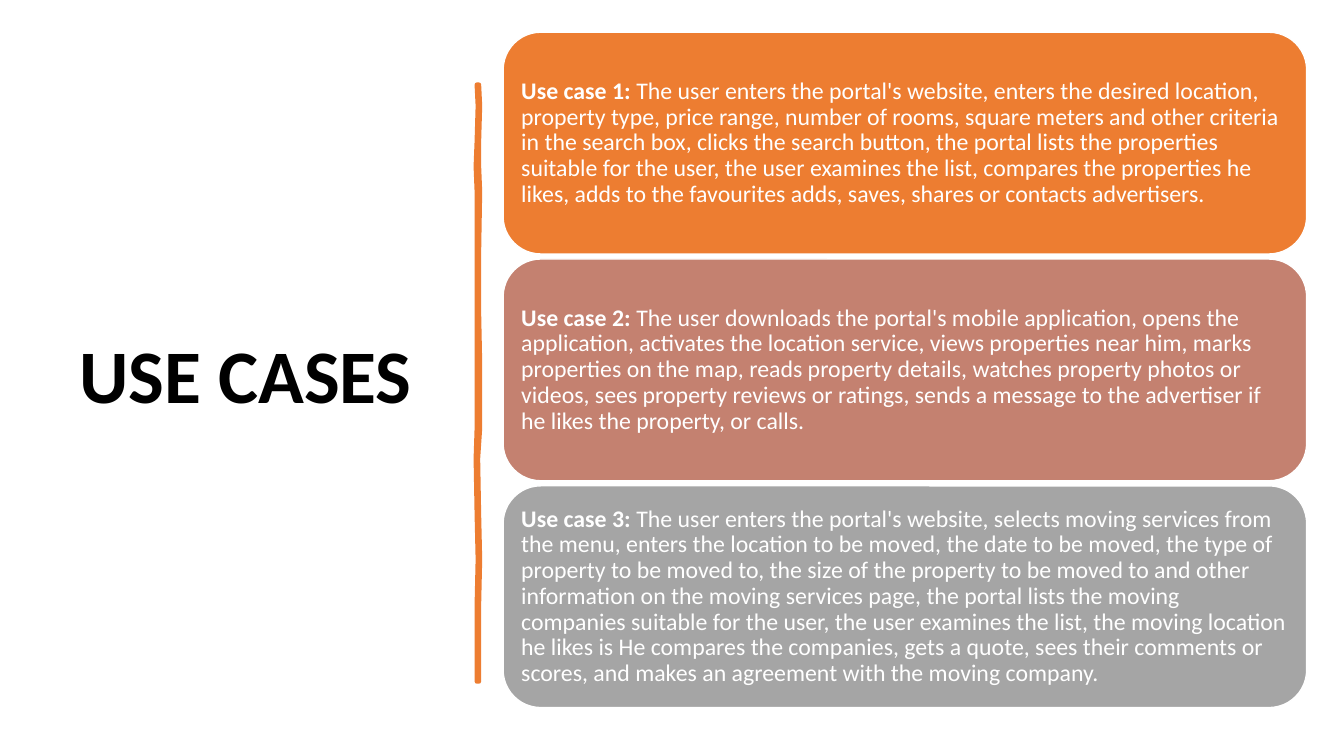
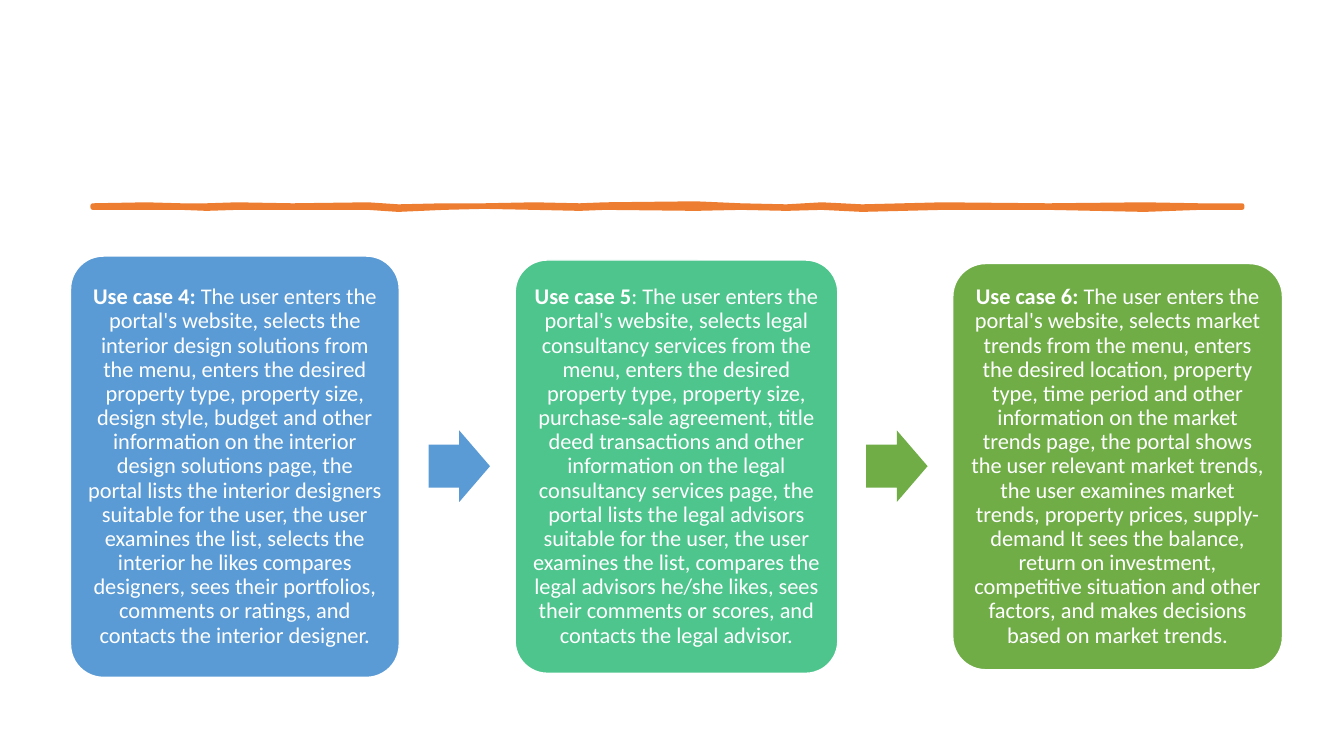
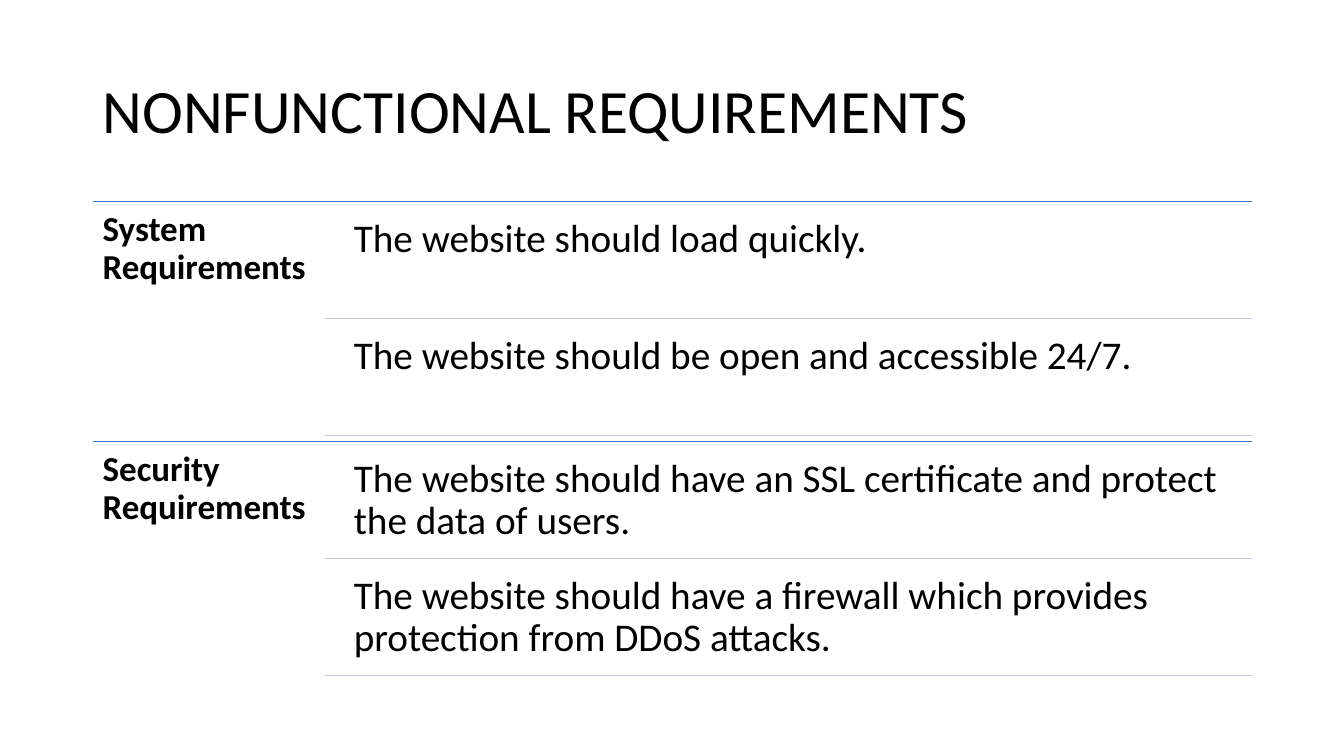
from lxml.etree import SubElement
from pptx import Presentation
from pptx.dml.color import RGBColor
from pptx.enum.shapes import MSO_CONNECTOR, MSO_SHAPE as Shape
from pptx.enum.text import MSO_ANCHOR as Anchor, PP_ALIGN as Align
from pptx.oxml.ns import qn
from pptx.util import Pt

PX = 9144  # 100 px to the inch

ORANGE, CLAY, GRAY = "ED7D31", "C48170", "A5A5A5"
BLUE, MINT, GREEN = "5B9BD5", "4DC58D", "70AD47"
SECTION_LINE, ITEM_LINE = "4472C4", "C1C9E4"
WHITE, BLACK = "FFFFFF", "000000"


def px(*lengths):
    return [round(length * PX) for length in lengths]


def rgb(color):
    return RGBColor.from_string(color)


class Deck:
    font = "Calibri"
    line_spacing = 0.9

    def __init__(self):
        self.show = Presentation()
        self.show.slide_width, self.show.slide_height = px(1333, 750)
        self.slide = None

    def new_slide(self):
        self.slide = self.show.slides.add_slide(self.show.slide_layouts[6])

    def set_text(self, frame, runs, size, color, inset, anchor, align=Align.LEFT):
        """Fill a text frame with one paragraph of (text, bold) runs."""
        frame.word_wrap = True
        frame.vertical_anchor = anchor
        frame.margin_left = frame.margin_right = inset * PX
        frame.margin_top = frame.margin_bottom = inset * PX
        paragraph = frame.paragraphs[0]
        paragraph.alignment = align
        paragraph.line_spacing = self.line_spacing
        paragraph.font.name = self.font
        paragraph.font.size = Pt(size)
        paragraph.font.color.rgb = rgb(color)
        for text, bold in runs:
            run = paragraph.add_run()
            run.text = text
            run.font.bold = bold

    def text(self, box, words, size, bold=False, inset=10, anchor=Anchor.TOP):
        frame = self.slide.shapes.add_textbox(*px(*box)).text_frame
        self.set_text(frame, [(words, bold)], size, BLACK, inset, anchor)

    def title(self, box, words, size, bold=False):
        self.text(box, words, size, bold, anchor=Anchor.MIDDLE)

    def shape(self, kind, box, fill, adjustments):
        shape = self.slide.shapes.add_shape(kind, *px(*box))
        shape.shadow.inherit = False
        shape.fill.solid()
        shape.fill.fore_color.rgb = rgb(fill)
        shape.line.fill.background()
        for index, value in enumerate(adjustments):
            shape.adjustments[index] = value
        return shape

    def card(self, box, fill, runs, size, rounding, align=Align.LEFT):
        card = self.shape(Shape.ROUNDED_RECTANGLE, box, fill, [rounding])
        card.line.color.rgb = rgb(WHITE)
        card.line.width = Pt(1)
        self.set_text(card.text_frame, runs, size, WHITE, 7, Anchor.MIDDLE, align)

    def arrow(self, box, fill):
        self.shape(Shape.RIGHT_ARROW, box, fill, [0.6, 0.5])

    def rule(self, left, right, y, color):
        rule = self.slide.shapes.add_connector(
            MSO_CONNECTOR.STRAIGHT, *px(left, y, right, y))
        rule.line.color.rgb = rgb(color)
        rule.line.width = Pt(1)
        SubElement(rule._element.spPr, qn("a:effectLst"))

    def brush_stroke(self, knots, vertical=False):
        """Draw an uneven stroke through (along, near edge, far edge) knots."""
        edge = [(along, near) for along, near, far in knots]
        edge += [(along, far) for along, near, far in reversed(knots)]
        points = [px(across, along) if vertical else px(along, across)
                  for along, across in edge]
        builder = self.slide.shapes.build_freeform(*points[0], scale=1.0)
        builder.add_line_segments(points[1:], close=True)
        stroke = builder.convert_to_shape()
        stroke.shadow.inherit = False
        stroke.fill.solid()
        stroke.fill.fore_color.rgb = rgb(ORANGE)
        stroke.line.color.rgb = rgb(ORANGE)
        stroke.line.width = Pt(3.25)


def search_cases(deck):
    deck.new_slide()
    deck.title((69, 70, 374, 611), "USE CASES", 54, bold=True)
    deck.brush_stroke([
        (84, 473, 475), (105, 474, 476), (140, 473, 475), (165, 472, 475),
        (190, 473, 476), (250, 473, 475), (310, 473, 475), (360, 473, 476),
        (425, 473, 476), (455, 472, 474), (510, 473, 475), (555, 474, 476),
        (600, 473, 475), (676, 473, 475)], vertical=True)
    cases = [
        (ORANGE, "Use case 1:",
         " The user enters the portal's website, enters the desired location, "
         "property type, price range, number of rooms, square meters and other "
         "criteria in the search box, clicks the search button, the portal "
         "lists the properties suitable for the user, the user examines the "
         "list, compares the properties he likes, adds to the favourites adds, "
         "saves, shares or contacts advertisers."),
        (CLAY, "Use case 2:",
         " The user downloads the portal's mobile application, opens the "
         "application, activates the location service, views properties near "
         "him, marks properties on the map, reads property details, watches "
         "property photos or videos, sees property reviews or ratings, sends a "
         "message to the advertiser if he likes the property, or calls."),
        (GRAY, "Use case 3:",
         " The user enters the portal's website, selects moving services from "
         "the menu, enters the location to be moved, the date to be moved, the "
         "type of property to be moved to, the size of the property to be moved "
         "to and other information on the moving services page, the portal "
         "lists the moving companies suitable for the user, the user examines "
         "the list, the moving location he likes is He compares the companies, "
         "gets a quote, sees their comments or scores, and makes an agreement "
         "with the moving company."),
    ]
    top, height, gap = 32, 220, 5
    for row, (fill, label, story) in enumerate(cases):
        deck.card((499, top + row * (height + gap), 797, height), fill,
                  [(label, True), (story, False)], 17, 0.17)


def service_cases(deck):
    deck.new_slide()
    deck.brush_stroke([
        (92, 204, 206), (145, 203, 206), (180, 204, 206), (205, 204, 207),
        (235, 203, 206), (290, 204, 206), (365, 203, 206), (395, 205, 208),
        (440, 204, 206), (480, 204, 205), (530, 203, 206), (575, 204, 207),
        (600, 203, 206), (690, 202, 207), (735, 204, 206), (780, 205, 207),
        (815, 203, 206), (855, 205, 208), (935, 203, 206), (1040, 204, 206),
        (1135, 203, 208), (1190, 204, 206), (1232, 204, 206)])
    cases = [
        (70, 326, 418, BLUE, "Use case 4:",
         " The user enters the portal's website, selects the interior design "
         "solutions from the menu, enters the desired property type, property "
         "size, design style, budget and other information on the interior "
         "design solutions page, the portal lists the interior designers "
         "suitable for the user, the user examines the list, selects the "
         "interior he likes compares designers, sees their portfolios, comments "
         "or ratings, and contacts the interior designer."),
        (511, 320, 410, MINT, "Use case 5",
         ": The user enters the portal's website, selects legal consultancy "
         "services from the menu, enters the desired property type, property "
         "size, purchase-sale agreement, title deed transactions and other "
         "information on the legal consultancy services page, the portal lists "
         "the legal advisors suitable for the user, the user examines the list, "
         "compares the legal advisors he/she likes, sees their comments or "
         "scores, and contacts the legal advisor."),
        (945, 327, 403, GREEN, "Use case 6:",
         " The user enters the portal's website, selects market trends from the "
         "menu, enters the desired location, property type, time period and "
         "other information on the market trends page, the portal shows the "
         "user relevant market trends, the user examines market trends, "
         "property prices, supply-demand It sees the balance, return on "
         "investment, competitive situation and other factors, and makes "
         "decisions based on market trends."),
    ]
    middle = 463
    for left, width, height, fill, label, story in cases:
        deck.card((left, middle - height / 2, width, height), fill,
                  [(label, True), (story, False)], 16, 0.1, Align.CENTER)
    for left, fill in ((425, BLUE), (859, GREEN)):
        deck.arrow((left, middle - 36, 61, 71), fill)


def nonfunctional_requirements(deck):
    deck.new_slide()
    deck.title((92, 40, 1150, 145), "NONFUNCTIONAL REQUIREMENTS", 44)
    sections = [
        ("System Requirements",
         ["The website should load quickly.",
          "The website should be open and accessible 24/7."]),
        ("Security Requirements",
         ["The website should have an SSL certificate and protect the data of "
          "users.",
          "The website should have a firewall which provides protection from "
          "DDoS attacks."]),
    ]
    left, item_left, right = 92, 322, 1242
    section_height, item_height, gap = 238, 111, 5
    for number, (heading, items) in enumerate(sections):
        top = 200 + number * section_height
        deck.rule(left, right, top, SECTION_LINE)
        deck.text((left, top, item_left - left, section_height), heading, 25,
                  bold=True)
        for row, item in enumerate(items):
            item_top = top + gap + row * (item_height + gap)
            deck.text((339, item_top, 903, item_height), item, 28, inset=12)
            deck.rule(item_left, right, item_top + item_height, ITEM_LINE)


def main():
    deck = Deck()
    search_cases(deck)
    service_cases(deck)
    nonfunctional_requirements(deck)
    deck.show.save("out.pptx")


if __name__ == "__main__":
    main()
